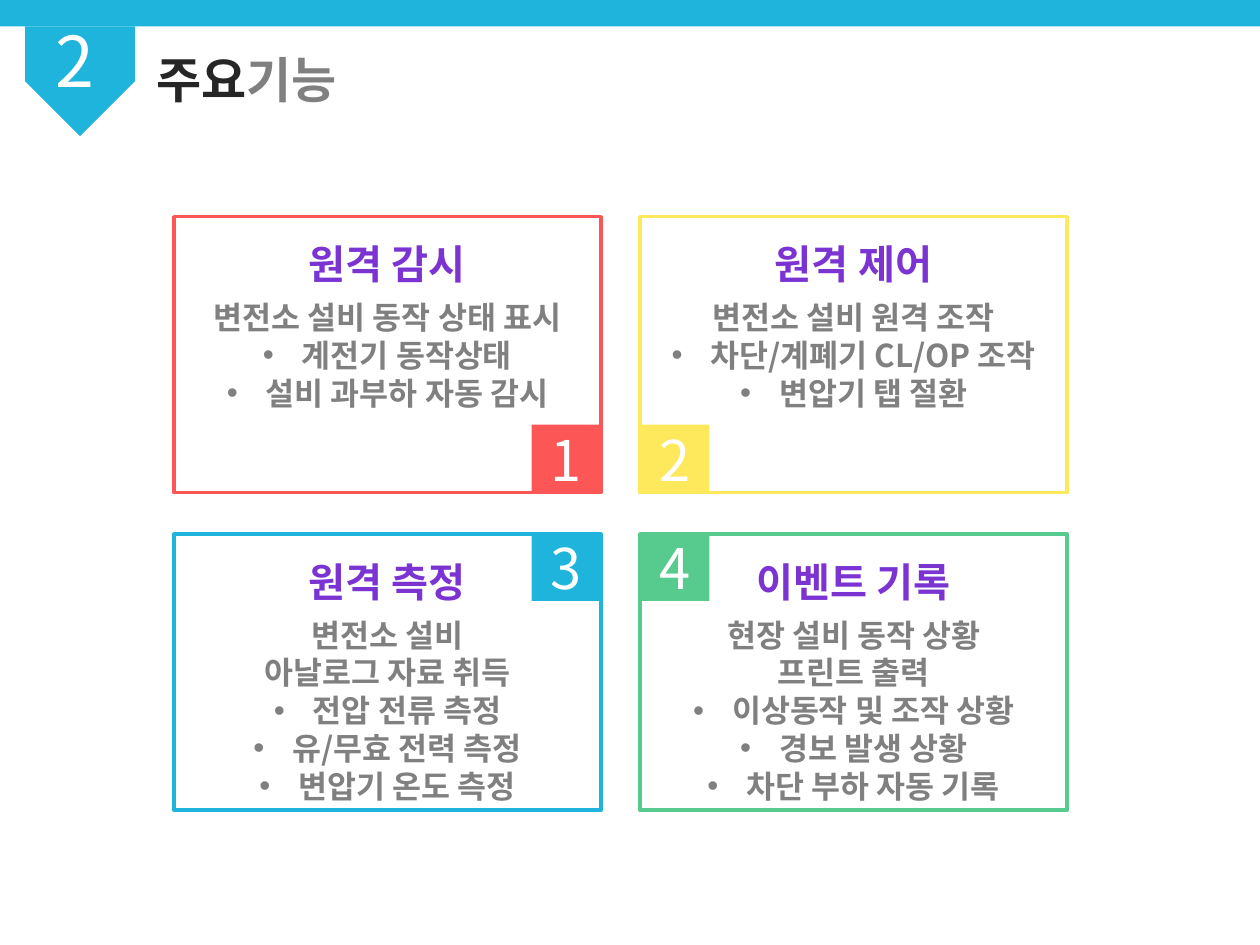
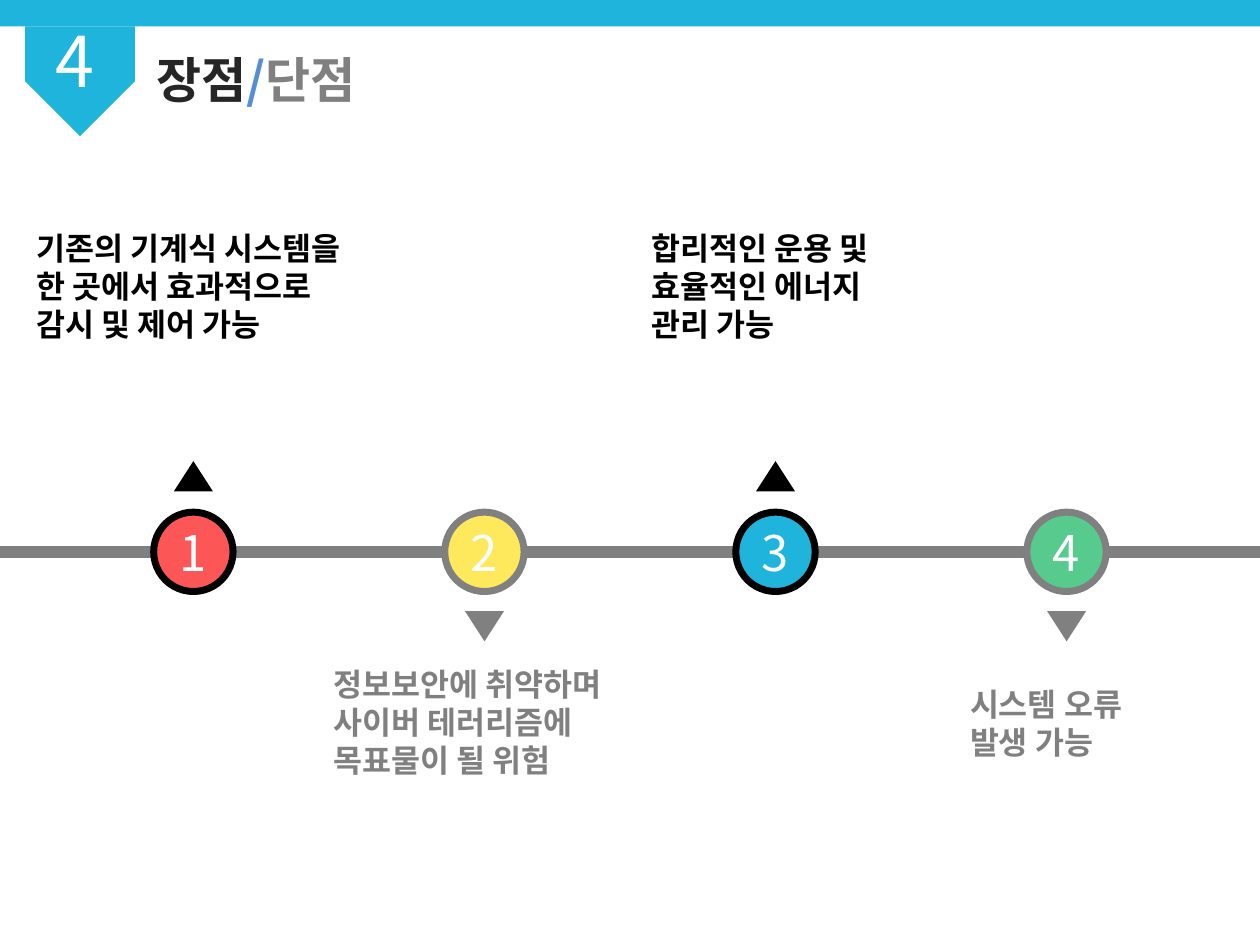
from lxml import etree
from pptx import Presentation
from pptx.dml.color import RGBColor
from pptx.enum.shapes import MSO_CONNECTOR, MSO_SHAPE as SHAPE
from pptx.enum.text import MSO_ANCHOR as ANCHOR, MSO_AUTO_SIZE as AUTO, PP_ALIGN as ALIGN
from pptx.oxml.ns import qn
from pptx.util import Inches, Pt

WIDTH, HEIGHT = 10, 7.5
FONT = "Noto Sans CJK KR"
RED, YELLOW, BLUE, GREEN = "FC5656", "FEE95C", "1EB4DC", "57CB8E"
ACCENTS = (RED, YELLOW, BLUE, GREEN)
WHITE, BLACK, GREY, DARK, SLASH = "FFFFFF", "000000", "808080", "262626", "558ED5"
HEADING_STOPS = ((0, "3D1B67"), (43, "7B34D2"), (48, "7330C4"), (100, "3D1B67"))
HEADING_OUTLINE = "5E457C"

BAND_H = 0.21
CARD_W, CARD_H = 3.39, 2.19
CARD_LEFT, CARD_TOP = 1.38, 1.72
CARD_STEP_X, CARD_STEP_Y = 3.7, 2.52
BADGE_W, BADGE_H = 0.55, 0.54
AXIS_Y = 4.38
DOT, DOT_LEFT, DOT_STEP = 0.63, 1.22, 2.31
ARROW_W, ARROW_H = 0.31, 0.24

# heading, plain lines, bulleted lines
CARDS = (
    ("원격 감시", ["변전소 설비 동작 상태 표시"],
     ["계전기 동작상태", "설비 과부하 자동 감시"]),
    ("원격 제어", ["변전소 설비 원격 조작"],
     ["차단/계폐기 CL/OP 조작", "변압기 탭 절환"]),
    ("원격 측정", ["변전소 설비", "아날로그 자료 취득"],
     ["전압 전류 측정", "유/무효 전력 측정", "변압기 온도 측정"]),
    ("이벤트 기록", ["현장 설비 동작 상황", "프린트 출력"],
     ["이상동작 및 조작 상황", "경보 발생 상황", "차단 부하 자동 기록"]),
)

# left, top, width, height, paragraphs
POINTS = (
    (0.19, 1.77, 3, 1.01, ["기존의 기계식 시스템을", "한 곳에서 효과적으로", "감시 및 제어 가능"]),
    (2.55, 5.23, 2.6, 1.01, ["정보보안에 취약하며 사이버 테러리즘에 목표물이 될 위험"]),
    (5.07, 1.77, 2.18, 1.01, ["합리적인 운용 및 효율적인 에너지 관리 가능"]),
    (7.6, 5.39, 2.05, 0.71, ["시스템 오류", "발생 가능"]),
)


def rgb(color):
    return RGBColor.from_string(color)


def sub(parent, tag, **attrs):
    return etree.SubElement(parent, qn(tag), attrs)


def add_run(p, text, size, color, bold=False):
    r = p.add_run()
    r.text = text
    r.font.size, r.font.bold, r.font.name = Pt(size), bold, FONT
    r.font.color.rgb = rgb(color)
    sub(r._r.get_or_add_rPr(), "a:ea", typeface=FONT)
    return r


def add_lines(tf, lines, size, color, bold=False, align=ALIGN.LEFT):
    """Write one paragraph per line and return the paragraphs."""
    paragraphs = []
    for i, line in enumerate(lines):
        p = tf.add_paragraph() if i else tf.paragraphs[0]
        p.alignment = align
        add_run(p, line, size, color, bold)
        paragraphs.append(p)
    return paragraphs


def add_bullet(p):
    pPr = p._p.get_or_add_pPr()
    pPr.set("marL", str(Inches(0.31)))
    pPr.set("indent", str(-Inches(0.31)))
    sub(pPr, "a:buFont", typeface="Arial")
    sub(pPr, "a:buChar", char="•")


def add_shape(s, kind, left, top, width, height, fill=None, line=None, weight=0):
    sp = s.shapes.add_shape(kind, *map(Inches, (left, top, width, height)))
    sp.shadow.inherit = False
    if fill:
        sp.fill.solid()
        sp.fill.fore_color.rgb = rgb(fill)
    else:
        sp.fill.background()
    if line:
        sp.line.color.rgb = rgb(line)
        sp.line.width = Pt(weight)
    else:
        sp.line.fill.background()
    sp.text_frame.vertical_anchor = ANCHOR.MIDDLE
    return sp


def add_text(s, left, top, width, height, lines, size, color, bold=False, align=ALIGN.LEFT):
    tf = s.shapes.add_textbox(*map(Inches, (left, top, width, height))).text_frame
    tf.word_wrap = True
    return add_lines(tf, lines, size, color, bold, align)


def paint_heading(r):
    """Give a run the purple gradient and its thin outline."""
    rPr = r._r.get_or_add_rPr()
    rPr.remove(rPr.find(qn("a:solidFill")))
    ln = etree.Element(qn("a:ln"), w=str(Pt(0.71)))
    sub(sub(ln, "a:solidFill"), "a:srgbClr", val=HEADING_OUTLINE)
    grad = etree.Element(qn("a:gradFill"))
    stops = sub(grad, "a:gsLst")
    for share, color in HEADING_STOPS:
        sub(sub(stops, "a:gs", pos=str(share * 1000)), "a:srgbClr", val=color)
    sub(grad, "a:lin", ang="5400000")
    rPr.insert(0, ln)
    rPr.insert(1, grad)


def add_titled_slide(prs, number, title_runs):
    s = prs.slides.add_slide(prs.slide_layouts[5])
    title = s.shapes.title
    title.left, title.top, title.width, title.height = map(Inches, (1.14, 0.34, 7, 0.74))
    tf = title.text_frame
    tf.auto_size, tf.vertical_anchor = AUTO.NONE, ANCHOR.TOP
    p = tf.paragraphs[0]
    p.alignment = ALIGN.LEFT
    for text, color in title_runs:
        add_run(p, text, 28, color, True)
    add_shape(s, SHAPE.RECTANGLE, 0, 0, WIDTH, BAND_H, BLUE)
    ribbon = add_shape(s, SHAPE.SNIP_2_SAME_RECTANGLE, 0.2, BAND_H, 0.87, 0.87, BLUE)
    ribbon.adjustments[0], ribbon.adjustments[1] = 0.5, 0
    ribbon.rotation = 180
    add_text(s, 0.34, 0.09, 0.68, 0.77, [number], 40, WHITE)
    return s


def add_card(s, index, color, heading, plain, bulleted):
    """Place a card in the 2 x 2 grid with its badge on the inner edge."""
    row, col = divmod(index, 2)
    left, top = CARD_LEFT + col * CARD_STEP_X, CARD_TOP + row * CARD_STEP_Y
    card = add_shape(s, SHAPE.RECTANGLE, left, top, CARD_W, CARD_H, line=color, weight=2)
    tf = card.text_frame
    if row:
        tf.margin_top = Inches(0.65)
    lines = add_lines(tf, plain + bulleted, 18, GREY, True, ALIGN.CENTER)
    for p in lines[len(plain):]:
        add_bullet(p)

    badge_left = left if col else left + CARD_W - BADGE_W
    badge_top = top - 0.01 if row else top + CARD_H - BADGE_H
    badge = add_shape(s, SHAPE.RECTANGLE, badge_left, badge_top, BADGE_W, BADGE_H, color)
    add_lines(badge.text_frame, [str(index + 1)], 32, WHITE, align=ALIGN.CENTER)

    p, = add_text(s, left + 0.35, top + 0.13, 2.69, 0.49, [heading], 23, DARK, True, ALIGN.CENTER)
    paint_heading(p.runs[0])


def add_axis(s):
    y = Inches(AXIS_Y)
    axis = s.shapes.add_connector(MSO_CONNECTOR.STRAIGHT, 0, y, Inches(WIDTH), y)
    axis.line.color.rgb = rgb(GREY)
    axis.line.width = Pt(7)
    sub(axis._element.spPr, "a:effectLst")


def add_point(s, index, color, left, top, width, height, lines):
    """Add a numbered dot; advantages point up, drawbacks point down."""
    is_drawback = index % 2 == 1
    ink = GREY if is_drawback else BLACK
    dot_left = DOT_LEFT + index * DOT_STEP
    dot = add_shape(s, SHAPE.OVAL, dot_left, AXIS_Y - DOT / 2, DOT, DOT, color, ink, 4)
    tf = dot.text_frame
    tf.margin_left = tf.margin_right = 0
    add_lines(tf, [str(index + 1)], 28, WHITE, align=ALIGN.CENTER)
    arrow = add_shape(s, SHAPE.ISOSCELES_TRIANGLE, dot_left + (DOT - ARROW_W) / 2,
                      4.85 if is_drawback else 3.66, ARROW_W, ARROW_H, ink)
    arrow.rotation = 180 if is_drawback else 0
    add_text(s, left, top, width, height, lines, 18, ink, True)


def main():
    prs = Presentation()
    prs.slide_width, prs.slide_height = Inches(WIDTH), Inches(HEIGHT)

    s = add_titled_slide(prs, "2", [("주요", DARK), ("기능", GREY)])
    for i, (color, card) in enumerate(zip(ACCENTS, CARDS)):
        add_card(s, i, color, *card)

    s = add_titled_slide(prs, "4", [("장점", DARK), ("/", SLASH), ("단점", GREY)])
    add_axis(s)
    for i, (color, point) in enumerate(zip(ACCENTS, POINTS)):
        add_point(s, i, color, *point)

    prs.save("out.pptx")


if __name__ == "__main__":
    main()
